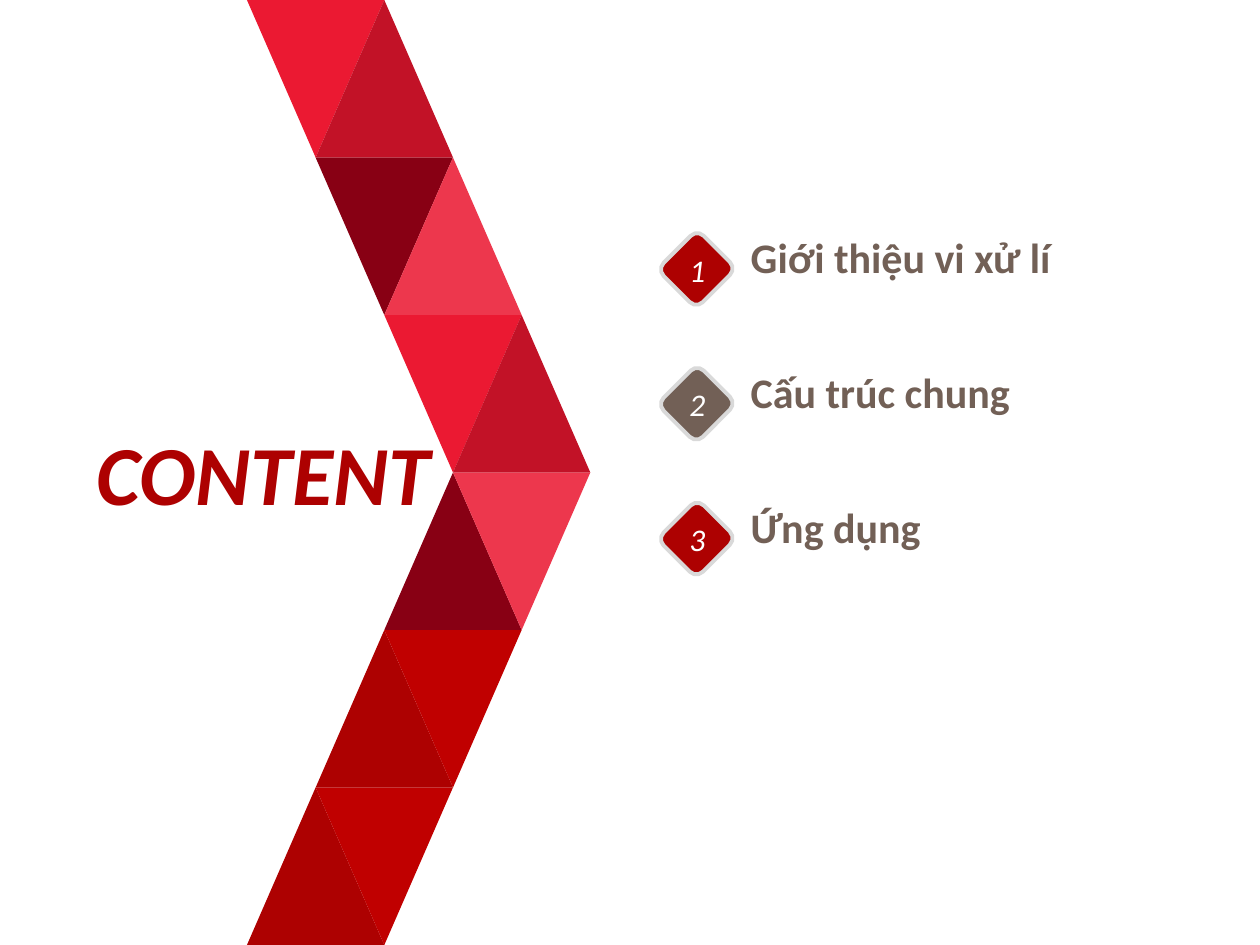
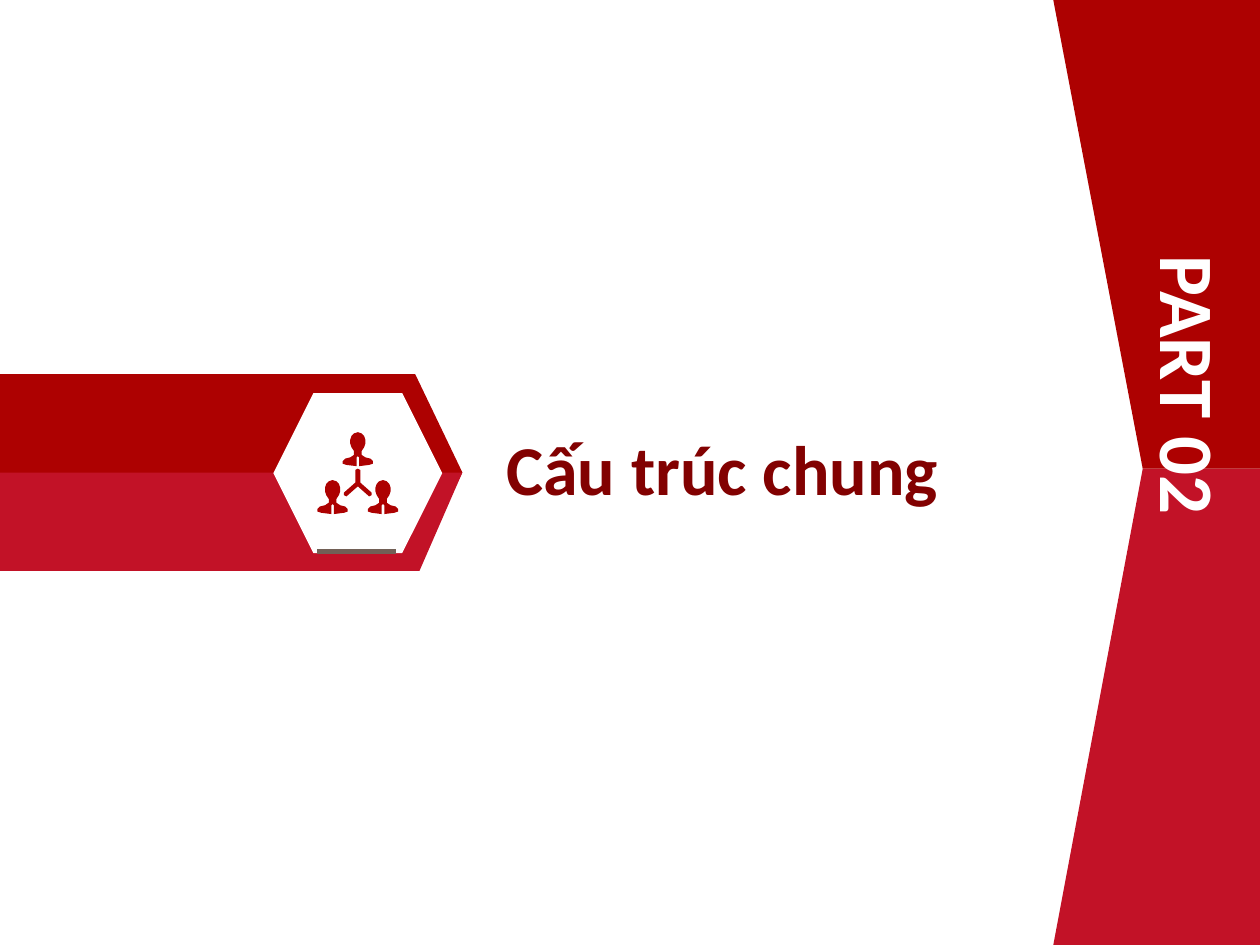
import pptx
import pptx.dml.color
import pptx.enum.shapes
import pptx.enum.text
import pptx.oxml
import pptx.oxml.ns
import pptx.util

Inches = pptx.util.Inches
Pt = pptx.util.Pt
Shape = pptx.enum.shapes.MSO_SHAPE
Align = pptx.enum.text.PP_ALIGN

FONT = "Calibri"
COLOURS = {
    "red": "AD0101", "bright": "C00000", "crimson": "C21227", "scarlet": "EB1932",
    "rose": "ED374D", "wine": "880014", "title": "820101",
    "taupe": "726056", "rim": "D9D9D9", "white": "FFFFFF",
}
RGB = {name: pptx.dml.color.RGBColor.from_string(code) for name, code in COLOURS.items()}


def paint(shape, colour):
    shape.shadow.inherit = False
    shape.fill.solid()
    shape.fill.fore_color.rgb = RGB[colour]
    shape.line.fill.background()
    return shape


def add_text(page, place, words, size, colour, bold=True, italic=False, align=None, wrap=True):
    box = page.shapes.add_textbox(*[Inches(length) for length in place])
    box.text_frame.word_wrap = wrap
    box.text_frame.auto_size = pptx.enum.text.MSO_AUTO_SIZE.SHAPE_TO_FIT_TEXT
    para = box.text_frame.paragraphs[0]
    para.alignment = align
    span = para.add_run()
    span.text = words
    span.font.name = FONT
    span.font.size = Pt(size)
    span.font.bold = bold
    span.font.italic = italic
    span.font.color.rgb = RGB[colour]
    return box


deck = pptx.Presentation()
deck.slide_width = Inches(10)
deck.slide_height = Inches(7.5)
blank = deck.slide_layouts[6]

# Slide 1: contents
page = deck.slides.add_slide(blank)

# Chevron of triangles: steps right, then back left
triangle_width, triangle_height = 1.09, 1.25
half_width = triangle_width / 2
chevron_rows = [  # steps to the right, then left and right colour
    (0, "scarlet", "crimson"),
    (1, "wine", "rose"),
    (2, "scarlet", "crimson"),
    (2, "wine", "rose"),
    (1, "red", "bright"),
    (0, "red", "bright"),
]
for row, (steps, *pair) in enumerate(chevron_rows):
    for side, colour in enumerate(pair):
        triangle = page.shapes.add_shape(
            Shape.ISOSCELES_TRIANGLE,
            Inches(1.96 + (steps + side) * half_width), Inches(row * triangle_height),
            Inches(triangle_width), Inches(triangle_height))
        paint(triangle, colour)
        points_down = (side == 0) == (row < 3)
        triangle.rotation = 180 if points_down else 0

add_text(page, (0.67, 3.3, 3.09, 0.91), "CONTENT", 48, "red", italic=True)

# Numbered topics
topics = [("Giới thiệu vi xử lí", "red"), ("Cấu trúc chung", "taupe"), ("Ứng dụng", "red")]
for index, (topic, colour) in enumerate(topics):
    top = 1.79 + index * 1.07
    add_text(page, (5.86, top, 3.89, 0.5), topic, 24, "taupe")
    diamond = page.shapes.add_shape(
        Shape.ROUNDED_RECTANGLE, Inches(5.31), Inches(top + 0.12), Inches(0.44), Inches(0.45))
    paint(diamond, colour)
    diamond.rotation = 45
    diamond.line.color.rgb = RGB["rim"]
    diamond.line.width = Pt(2.25)
    add_text(page, (5.31, top + 0.15, 0.45, 0.4), str(index + 1), 18, "white",
             bold=False, italic=True, align=Align.CENTER, wrap=False)

# Slide 2: section opener
page = deck.slides.add_slide(blank)

# Arrow band with its lower half in crimson
band = page.shapes.add_shape(Shape.PENTAGON, 0, Inches(2.97), Inches(3.67), Inches(1.56))
band.adjustments[0] = 0.24
paint(band, "red")
lower_band = [(0, 3.75), (3.67, 3.75), (3.33, 4.53), (0, 4.53)]
side_panels = [
    ([(9.07, 3.72), (10, 3.72), (10, 7.5), (8.36, 7.5)], "crimson"),
    ([(8.36, 0), (10, 0), (10, 3.72), (9.07, 3.72)], "red"),
]
for corners, colour in [(lower_band, "crimson"), *side_panels]:
    points = [(Inches(x), Inches(y)) for x, y in corners]
    outline = page.shapes.build_freeform(*points[0])
    outline.add_line_segments(points[1:])
    paint(outline.convert_to_shape(), colour)

hexagon = page.shapes.add_shape(
    Shape.HEXAGON, Inches(2.17), Inches(3.12), Inches(1.34), Inches(1.27))
paint(hexagon, "white")

# Team icon: one bust used three times, joined by a fork
bust_half = [
    (0, 0), (0.03, 0.01), (0.05, 0.03), (0.06, 0.06), (0.06, 0.09), (0.05, 0.12),
    (0.03, 0.15), (0.03, 0.18), (0.06, 0.2), (0.1, 0.21), (0.12, 0.23), (0.12, 0.25),
    (0.09, 0.26), (0.01, 0.27), (0.01, 0.2), (0, 0.19),
]
fork_half = [
    (0, 0), (0.02, 0.01), (0.02, 0.11), (0.11, 0.19), (0.11, 0.21), (0.09, 0.22), (0, 0.14),
]
icon = page.shapes.build_freeform(Inches(2.84), Inches(3.43))
for x, y, half in [(2.84, 3.43, bust_half), (2.64, 3.81, bust_half),
                   (3.04, 3.81, bust_half), (2.84, 3.72, fork_half)]:
    mirrored = [(-dx, dy) for dx, dy in reversed(half[1:-1])]
    points = [(Inches(x + dx), Inches(y + dy)) for dx, dy in half + mirrored]
    icon.move_to(*points[0])
    icon.add_line_segments(points[1:])
paint(icon.convert_to_shape(), "red")

add_text(page, (3.92, 3.33, 5.33, 0.77), "Cấu trúc chung", 40, "title")

# Rule under the icon
rule = page.shapes.add_connector(
    pptx.enum.shapes.MSO_CONNECTOR.STRAIGHT,
    Inches(2.52), Inches(4.38), Inches(3.14), Inches(4.38))
rule.line.color.rgb = RGB["taupe"]
rule.line.width = Pt(3)
rule._element.spPr.append(pptx.oxml.parse_xml(
    f'<a:effectLst {pptx.oxml.ns.nsdecls("a")}/>'))

# Vertical part label
label = add_text(page, (8.93, 1.93, 0.94, 3.64), "PART 02", 44, "white", align=Align.JUSTIFY)
label.text_frame._txBody.bodyPr.set("vert", "eaVert")

deck.save("out.pptx")
